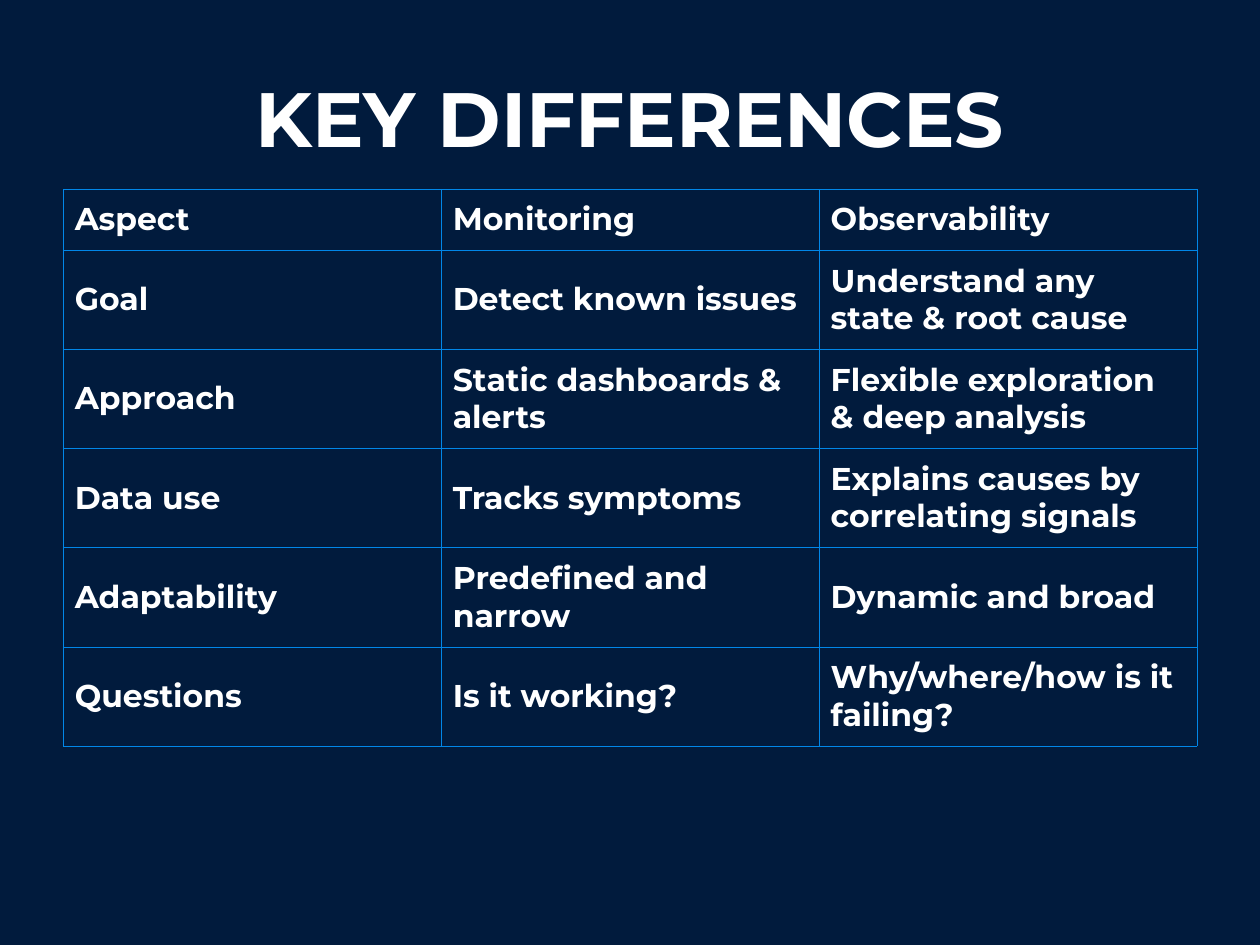
from dataclasses import dataclass

from lxml import etree
from pptx import Presentation
from pptx.dml.color import RGBColor
from pptx.enum.text import MSO_ANCHOR, PP_ALIGN
from pptx.oxml.ns import qn
from pptx.util import Inches, Pt

MIDDLE = MSO_ANCHOR.MIDDLE
LEFT, CENTER = PP_ALIGN.LEFT, PP_ALIGN.CENTER

COLORS = {"background": "011B3D", "text": "FFFFFF", "border": "0187E8"}
FONT = "Montserrat"
WIDTH, HEIGHT = Inches(10.67), Inches(8)
MARGIN = 0.05  # share of the slide's width
ROW_HEIGHT = Inches(0.44)
BORDER_WIDTH = Pt(0.37)
SIDES = ("lnL", "lnR", "lnT", "lnB")
TITLE_ONLY = 5


@dataclass(frozen=True)
class TextStyle:
    size: float
    leading: float
    align: PP_ALIGN


TITLE = TextStyle(46.9, 56.3, CENTER)
CELL = TextStyle(19.2, 23, LEFT)

ROWS = (
    ("Aspect", "Monitoring", "Observability"),
    ("Goal", "Detect known issues", "Understand any state & root cause"),
    ("Approach", "Static dashboards & alerts", "Flexible exploration & deep analysis"),
    ("Data use", "Tracks symptoms", "Explains causes by correlating signals"),
    ("Adaptability", "Predefined and narrow", "Dynamic and broad"),
    ("Questions", "Is it working?", "Why/where/how is it failing?"),
)


def set_attrs(target, values: dict) -> None:
    for name, value in values.items():
        setattr(target, name, value)


def write(tf, text: str, style: TextStyle) -> None:
    p = tf.paragraphs[0]
    set_attrs(p, {"alignment": style.align, "line_spacing": Pt(style.leading),
                  "space_before": Pt(0), "space_after": Pt(0)})
    r = p.add_run()
    r.text = text
    set_attrs(r.font, {"name": FONT, "size": Pt(style.size), "bold": True})
    r.font.color.rgb = RGBColor.from_string(COLORS["text"])


def add_borders(cell) -> None:
    tc_pr = cell._tc.get_or_add_tcPr()
    for i, side in enumerate(SIDES):
        ln = etree.Element(qn(f"a:{side}"), w=str(int(BORDER_WIDTH)))
        fill = etree.SubElement(ln, qn("a:solidFill"))
        etree.SubElement(fill, qn("a:srgbClr"), val=COLORS["border"])
        tc_pr.insert(i, ln)


def add_title(s, text: str) -> None:
    sp = s.shapes.title
    set_attrs(sp, {"left": int(WIDTH * MARGIN), "top": int(HEIGHT * 0.04),
                   "width": int(WIDTH * (1 - 2 * MARGIN)), "height": Inches(1.33)})
    tf = sp.text_frame
    set_attrs(tf, {"margin_left": 0, "margin_right": 0, "margin_top": 0,
                   "margin_bottom": 0, "vertical_anchor": MIDDLE, "word_wrap": True})
    write(tf, text, TITLE)


def add_comparison(s, rows: tuple) -> None:
    table = s.shapes.add_table(
        len(rows), len(rows[0]), int(WIDTH * MARGIN), int(HEIGHT * 0.2),
        int(WIDTH * (1 - 2 * MARGIN)), ROW_HEIGHT * len(rows)).table
    set_attrs(table, {"first_row": False, "horz_banding": False})
    inset = Inches(0.1)
    for i, row in enumerate(rows):
        for j, text in enumerate(row):
            cell = table.cell(i, j)
            set_attrs(cell, {"margin_left": inset, "margin_right": inset,
                             "margin_top": inset, "margin_bottom": inset,
                             "vertical_anchor": MIDDLE})
            cell.fill.background()
            add_borders(cell)
            write(cell.text_frame, text, CELL)


def main() -> None:
    prs = Presentation()
    set_attrs(prs, {"slide_width": WIDTH, "slide_height": HEIGHT})
    s = prs.slides.add_slide(prs.slide_layouts[TITLE_ONLY])

    # Background
    fill = s.background.fill
    fill.solid()
    fill.fore_color.rgb = RGBColor.from_string(COLORS["background"])

    # Title and comparison table
    add_title(s, "KEY DIFFERENCES")
    add_comparison(s, ROWS)

    prs.save("out.pptx")


if __name__ == "__main__":
    main()
